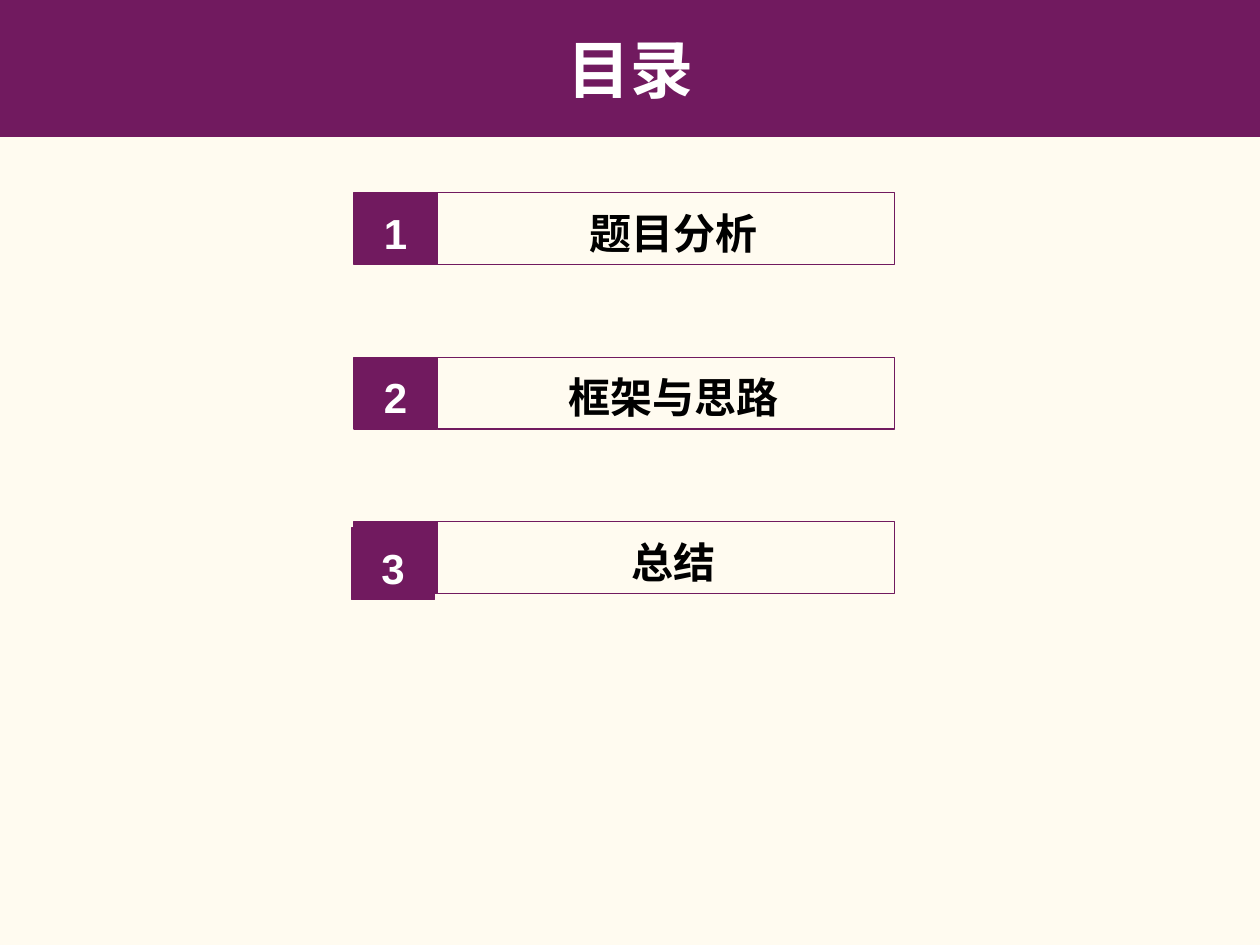
from pptx import Presentation
from pptx.dml.color import RGBColor
from pptx.enum.shapes import MSO_SHAPE
from pptx.enum.text import MSO_ANCHOR, PP_ALIGN
from pptx.oxml.ns import qn
from pptx.util import Inches, Pt
from lxml.etree import SubElement

TITLE = "目录"
ENTRIES = ["题目分析", "框架与思路", "总结"]
COLORS = {"purple": "711A5F", "cream": "FFFBF0", "white": "FFFFFF", "black": "000000"}
LATIN, CHINESE = "Arial", "Noto Sans CJK SC"

WIDTH, HEIGHT = 10, 7.5
BANNER_HEIGHT = 1.08
FIRST_TOP, ROW_STEP, ROW_HEIGHT = 1.53, 1.305, 0.57
NUMBER_LEFT, NUMBER_WIDTH, LABEL_WIDTH = 2.81, 0.66, 3.63
LAST_SHIFT = (-0.02, 0.05)  # the last number sits on a second, offset tile


def color(name):
    return RGBColor.from_string(COLORS[name])


def add_box(slide, left, top, width, height, fill=None):
    box = slide.shapes.add_shape(
        MSO_SHAPE.RECTANGLE, Inches(left), Inches(top), Inches(width), Inches(height))
    box.shadow.inherit = False
    if fill:
        box.fill.solid()
        box.fill.fore_color.rgb = color(fill)
    else:
        box.fill.background()
    box.line.color.rgb = color("purple")
    box.line.width = Pt(0.75)
    return box


def write(box, text, font, size, ink, inset=0.0, spacing=1.0, indent=0.0):
    frame = box.text_frame
    frame.text = text
    frame.word_wrap = True
    frame.vertical_anchor = MSO_ANCHOR.MIDDLE
    frame.margin_left = frame.margin_right = Inches(inset)
    frame.margin_top = frame.margin_bottom = Inches(inset)
    para = frame.paragraphs[0]
    para.alignment = PP_ALIGN.CENTER
    para.line_spacing = spacing
    if indent:
        properties = para._p.get_or_add_pPr()
        properties.set("marL", str(Inches(indent)))
        properties.set("indent", "0")
    span = para.runs[0]
    span.font.name = font
    span.font.size = Pt(size)
    span.font.bold = True
    span.font.color.rgb = color(ink)
    SubElement(span._r.get_or_add_rPr(), qn("a:ea")).set("typeface", font)


def main():
    deck = Presentation()
    deck.slide_width, deck.slide_height = Inches(WIDTH), Inches(HEIGHT)
    slide = deck.slides.add_slide(deck.slide_layouts[6])
    slide.background.fill.solid()
    slide.background.fill.fore_color.rgb = color("cream")

    add_box(slide, 0, 0, WIDTH, BANNER_HEIGHT, "purple")
    title = slide.shapes.add_textbox(Inches(3.91), Inches(0.29), Inches(2.18), Inches(0.51))
    write(title, TITLE, CHINESE, 36, "white", inset=0.1)

    for row, entry in enumerate(ENTRIES):
        top = FIRST_TOP + row * ROW_STEP
        tile = add_box(slide, NUMBER_LEFT, top, NUMBER_WIDTH, ROW_HEIGHT, "purple")
        label = add_box(slide, NUMBER_LEFT + NUMBER_WIDTH, top, LABEL_WIDTH, ROW_HEIGHT)
        write(label, entry, CHINESE, 24, "black", inset=0.1, spacing=1.15, indent=0.12)
        if row == len(ENTRIES) - 1:
            shift_x, shift_y = LAST_SHIFT
            tile = add_box(slide, NUMBER_LEFT + shift_x, top + shift_y,
                           NUMBER_WIDTH, ROW_HEIGHT, "purple")
        write(tile, str(row + 1), LATIN, 24, "white", spacing=1.15)

    deck.save("out.pptx")


if __name__ == "__main__":
    main()
